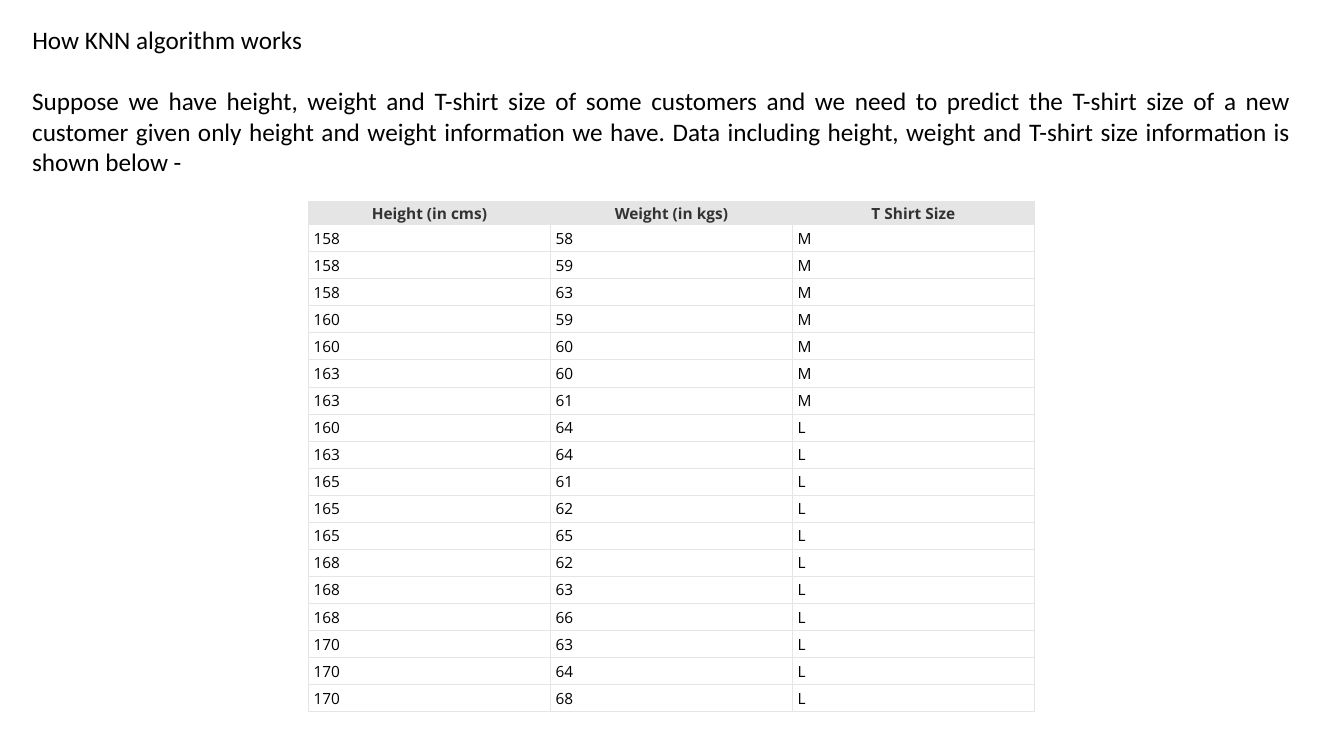
from lxml import etree
from pptx import Presentation
from pptx.dml.color import RGBColor
from pptx.enum import text
from pptx.oxml.ns import qn
from pptx.util import Inches, Pt

TITLE = "How KNN algorithm works"
INTRO = (
    "Suppose we have height, weight and T-shirt size of some customers and we need to "
    "predict the T-shirt size of a new customer given only height and weight information "
    "we have. Data including height, weight and T-shirt size information is shown below -"
)
HEADERS = ("Height (in cms)", "Weight (in kgs)", "T Shirt Size")
CUSTOMERS = [
    (158, 58, "M"), (158, 59, "M"), (158, 63, "M"),
    (160, 59, "M"), (160, 60, "M"), (163, 60, "M"),
    (163, 61, "M"), (160, 64, "L"), (163, 64, "L"),
    (165, 61, "L"), (165, 62, "L"), (165, 65, "L"),
    (168, 62, "L"), (168, 63, "L"), (168, 66, "L"),
    (170, 63, "L"), (170, 64, "L"), (170, 68, "L"),
]
BLACK, DARK, GREY, WHITE = "000000", "323232", "E5E5E5", "FFFFFF"
TABLE_HEIGHT, HEADER_HEIGHT, COLUMN_WIDTH = 4.75, 0.2, 2.4


def color(value):
    return RGBColor.from_string(value)


def write(tf, content, font, size, align, ink=BLACK, bold=False):
    tf.text = str(content)
    p = tf.paragraphs[0]
    p.alignment = align
    f = p.runs[0].font
    f.name, f.size, f.bold = font, Pt(size), bold
    f.color.rgb = color(ink)


def place_text(sp, top, height, content):
    sp.left, sp.top = Inches(0.22), Inches(top)
    sp.width, sp.height = Inches(12.68), Inches(height)
    tf = sp.text_frame
    tf.word_wrap = True
    tf.auto_size = text.MSO_AUTO_SIZE.NONE
    tf.vertical_anchor = text.MSO_ANCHOR.TOP
    write(tf, content, "Calibri", 18, text.PP_ALIGN.JUSTIFY)
    tf.paragraphs[0].line_spacing = 1.0


def add_borders(cell):
    tc_pr = cell._tc.get_or_add_tcPr()
    for side in ("a:lnL", "a:lnR", "a:lnT", "a:lnB"):
        ln = etree.SubElement(tc_pr, qn(side), w=str(Pt(0.75)))
        fill = etree.SubElement(ln, qn("a:solidFill"))
        etree.SubElement(fill, qn("a:srgbClr"), val=GREY)


def format_cell(cell, content, is_header):
    add_borders(cell)
    cell.fill.solid()
    cell.fill.fore_color.rgb = color(GREY if is_header else WHITE)
    cell.vertical_anchor = text.MSO_ANCHOR.MIDDLE
    cell.margin_left = cell.margin_right = Inches(0.01 if is_header else 0.05)
    cell.margin_top = cell.margin_bottom = Inches(0.01 if is_header else 0.03)
    align = text.PP_ALIGN.CENTER if is_header else text.PP_ALIGN.LEFT
    write(cell.text_frame, content, "Open Sans", 11, align,
          DARK if is_header else BLACK, is_header)


prs = Presentation()
prs.slide_width, prs.slide_height = Inches(13.33), Inches(7.5)
s = prs.slides.add_slide(prs.slide_layouts[5])

place_text(s.shapes.title, 0.19, 0.4, TITLE)
place_text(s.shapes.add_textbox(0, 0, 0, 0), 0.8, 1.01, INTRO)

rows = [HEADERS, *CUSTOMERS]
table = s.shapes.add_table(
    len(rows), len(HEADERS), Inches(3.06), Inches(2),
    Inches(COLUMN_WIDTH * len(HEADERS)), Inches(TABLE_HEIGHT),
).table
table.horz_banding = False
for column in table.columns:
    column.width = Inches(COLUMN_WIDTH)
row_height = (TABLE_HEIGHT - HEADER_HEIGHT) / len(CUSTOMERS)
for i, row in enumerate(rows):
    table.rows[i].height = Inches(row_height if i else HEADER_HEIGHT)
    for j, value in enumerate(row):
        format_cell(table.cell(i, j), value, i == 0)

prs.save("out.pptx")
